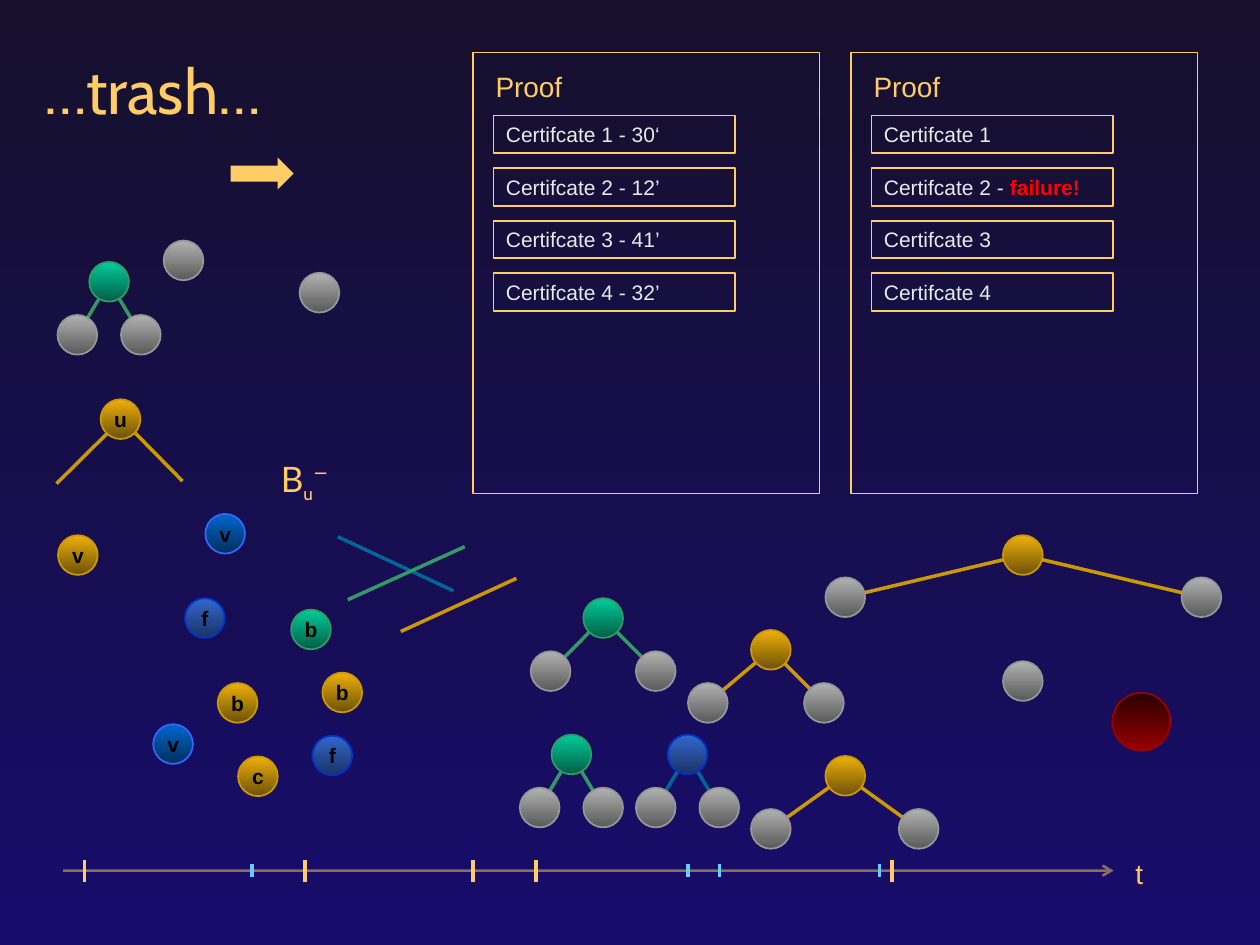
from lxml import etree
from pptx import Presentation
from pptx.dml.color import RGBColor
from pptx.enum.shapes import MSO_CONNECTOR, MSO_SHAPE
from pptx.enum.text import MSO_ANCHOR, PP_ALIGN
from pptx.oxml.ns import qn
from pptx.util import Cm, Pt

LINE = MSO_CONNECTOR.STRAIGHT
OVAL, RECT, ARROW = MSO_SHAPE.OVAL, MSO_SHAPE.RECTANGLE, MSO_SHAPE.RIGHT_ARROW
LEFT, MID = PP_ALIGN.LEFT, PP_ALIGN.CENTER
TOP, MIDDLE = MSO_ANCHOR.TOP, MSO_ANCHOR.MIDDLE

# Content: all places and sizes in centimetres
SAND, SKY, PALE, RED = "FFCC66", "66CCFF", "EAEAEA", "FF0000"
# Ball colours: top, bottom, rim, branch
KINDS = {
    "grey": ("B2B2B2", "595959", "969696", "969696"),
    "green": ("00CC99", "005E46", "339966", "339966"),
    "gold": ("EEB00B", "6D5105", "CC9900", "CC9900"),
    "blue": ("3366CC", "193366", "0033CC", "006699"),
    "sea": ("0066CC", "002F5E", "3366FF", "3366FF"),
    "red": ("280000", "990000", "990000", "990000"),
}
BALL = 0.8
# Trees: kind, root x, root y, reach left, reach right, drop
TREES = [
    ("green", 12.16, 12.46, 1.06, 1.06, 1.07),
    ("blue", 13.86, 15.21, 0.64, 0.64, 1.07),
    ("green", 11.52, 15.21, 0.64, 0.64, 1.07),
    ("gold", 15.54, 13.1, 1.27, 1.07, 1.07),
    ("gold", 17.04, 15.64, 1.5, 1.48, 1.07),
    ("gold", 20.62, 11.19, 3.58, 3.6, 0.85),
    ("green", 2.2, 5.68, 0.64, 0.64, 1.07),
]
# Single balls: kind, centre x, centre y, diameter
SINGLES = [
    ("grey", 20.62, 13.73, BALL),
    ("grey", 6.44, 5.9, BALL),
    ("grey", 3.7, 5.25, BALL),
    ("red", 23.01, 14.55, 1.17),
]
# Balls with a letter: letter, kind, centre x, centre y
NAMED = [
    ("f", "blue", 4.13, 12.46), ("c", "gold", 5.2, 15.65),
    ("b", "gold", 4.79, 14.17), ("b", "green", 6.27, 12.69),
    ("b", "gold", 6.9, 13.96), ("f", "blue", 6.7, 15.23),
    ("u", "gold", 2.43, 8.45), ("v", "gold", 1.57, 11.19),
    ("v", "sea", 4.54, 10.76), ("v", "sea", 3.49, 15.0),
]
# Free strokes: kind, from x, y, to x, y
STROKES = [
    ("blue", 6.81, 10.82, 9.14, 11.91),
    ("gold", 10.41, 11.66, 8.08, 12.73),
    ("green", 9.37, 11.02, 7.01, 12.09),
    ("gold", 2.44, 8.46, 1.14, 9.75),
    ("gold", 2.46, 8.46, 3.68, 9.7),
]
# Proof panels: left edge, certificates as lists of (text, alarm)
PANELS = [
    (9.53, [[("Certifcate 1 - 30‘", False)], [("Certifcate 2 - 12’", False)],
            [("Certifcate 3 - 41’", False)], [("Certifcate 4 - 32’", False)]]),
    (17.15, [[("Certifcate 1", False)],
             [("Certifcate 2 - ", False), ("failure!", True)],
             [("Certifcate 3", False)], [("Certifcate 4", False)]]),
]
# Time axis ticks: colour, half height, places
AXIS = 17.55
TICKS = [
    (SAND, 0.22, [1.7, 6.15, 9.53, 10.8, 17.98]),
    (SKY, 0.13, [5.08, 13.87, 14.5, 17.73]),
]


def paint(color, code):
    color.rgb = RGBColor.from_string(code)


def blend(fill, first, last):
    fill.gradient()
    fill.gradient_angle = 270
    for stop, code in zip(fill.gradient_stops, (first, last)):
        paint(stop.color, code)


def stroke(home, x1, y1, x2, y2, code, width=2):
    line = home.add_connector(LINE, Cm(x1), Cm(y1), Cm(x2), Cm(y2))
    paint(line.line.color, code)
    line.line.width = Pt(width)
    etree.SubElement(line._element.spPr, qn("a:effectLst"))
    return line


def ball(home, kind, x, y, size=BALL):
    first, last, rim, _ = KINDS[kind]
    disc = home.add_shape(OVAL, Cm(x - size / 2), Cm(y - size / 2),
                          Cm(size), Cm(size))
    disc.shadow.inherit = False
    blend(disc.fill, first, last)
    paint(disc.line.color, rim)
    disc.line.width = Pt(1)


def frame(x, y, w, h):
    box = shapes.add_shape(RECT, Cm(x), Cm(y), Cm(w), Cm(h))
    box.shadow.inherit = False
    box.fill.background()
    paint(box.line.color, SAND)
    box.line.width = Pt(1)
    return box


def style(shape, size, code, face="Arial", align=LEFT, anchor=TOP, bold=False):
    text = shape.text_frame
    text.word_wrap = True
    text.vertical_anchor = anchor
    para = text.paragraphs[0]
    para.alignment = align
    para.font.size, para.font.name, para.font.bold = Pt(size), face, bold
    paint(para.font.color, code)
    return para


def label(home, words, x, y, w, h, *look, **more):
    box = home.add_textbox(Cm(x), Cm(y), Cm(w), Cm(h))
    box.text_frame.text = words
    return style(box, *look, **more)


deck = Presentation()
deck.slide_width, deck.slide_height = Cm(25.4), Cm(19.05)
slide = deck.slides.add_slide(deck.slide_layouts[6])
shapes = slide.shapes
blend(slide.background.fill, "16102C", "170C6C")

# Title and arrow
label(shapes, "…trash…", 0.64, 0.85, 23.7, 1.9, 36, SAND, "Cabin", anchor=MIDDLE)
arrow = shapes.add_shape(ARROW, Cm(4.65), Cm(3.18), Cm(1.27), Cm(0.64))
arrow.shadow.inherit = False
arrow.fill.solid()
paint(arrow.fill.fore_color, SAND)
arrow.line.fill.background()

# Time axis
axis = stroke(shapes, 1.27, AXIS, 22.45, AXIS, SAND, 1.5)
pen = axis.line._get_or_add_ln()
etree.SubElement(pen.find(".//" + qn("a:srgbClr")), qn("a:alpha"), val="50000")
etree.SubElement(pen, qn("a:tailEnd"), type="arrow")
label(shapes, "t", 22.61, 17.15, 0.71, 0.94, 16, SAND, align=MID)
for code, half, places in TICKS:
    for x in places:
        stroke(shapes, x, AXIS - half, x, AXIS + half, code)

# Proof panels
for left, certs in PANELS:
    frame(left, 1.06, 6.99, 8.89)
    label(shapes, "Proof", left + 0.21, 1.27, 3.6, 0.94, 16, SAND)
    for row, parts in enumerate(certs):
        para = style(frame(left + 0.42, 2.33 + 1.06 * row, 4.87, 0.76), 12, PALE)
        for words, alarm in parts:
            run = para.add_run()
            run.text = words
            paint(run.font.color, RED if alarm else PALE)
            if alarm:
                run.font.bold = True

# Free strokes, then the balls over them
for kind, *ends in STROKES:
    stroke(shapes, *ends, KINDS[kind][3])
for single in SINGLES:
    ball(shapes, *single)
for kind, x, y, left, right, drop in TREES:
    tree = shapes.add_group_shape().shapes
    leaves = [(x - left, y + drop), (x + right, y + drop)]
    for leaf in leaves:
        stroke(tree, x, y, *leaf, KINDS[kind][3])
    for leaf in leaves:
        ball(tree, "grey", *leaf)
    ball(tree, kind, x, y)
for sign, kind, x, y in NAMED:
    pair = shapes.add_group_shape().shapes
    ball(pair, kind, x, y)
    label(pair, sign, x - 0.53, y - 0.38, 1.06, 0.76, 12, "000000",
          align=MID, bold=True)

# Formula with lowered and raised signs
para = label(shapes, "B", 5.08, 9.1, 2.12, 1.27, 20, SAND, "Lato", MID)
for sign, shift in (("u", -25000), ("−", 40000)):
    run = para.add_run()
    run.text = sign
    run.font.size, run.font.name = Pt(18), "Cabin"
    run.font._element.set("baseline", str(shift))

deck.save("out.pptx")
